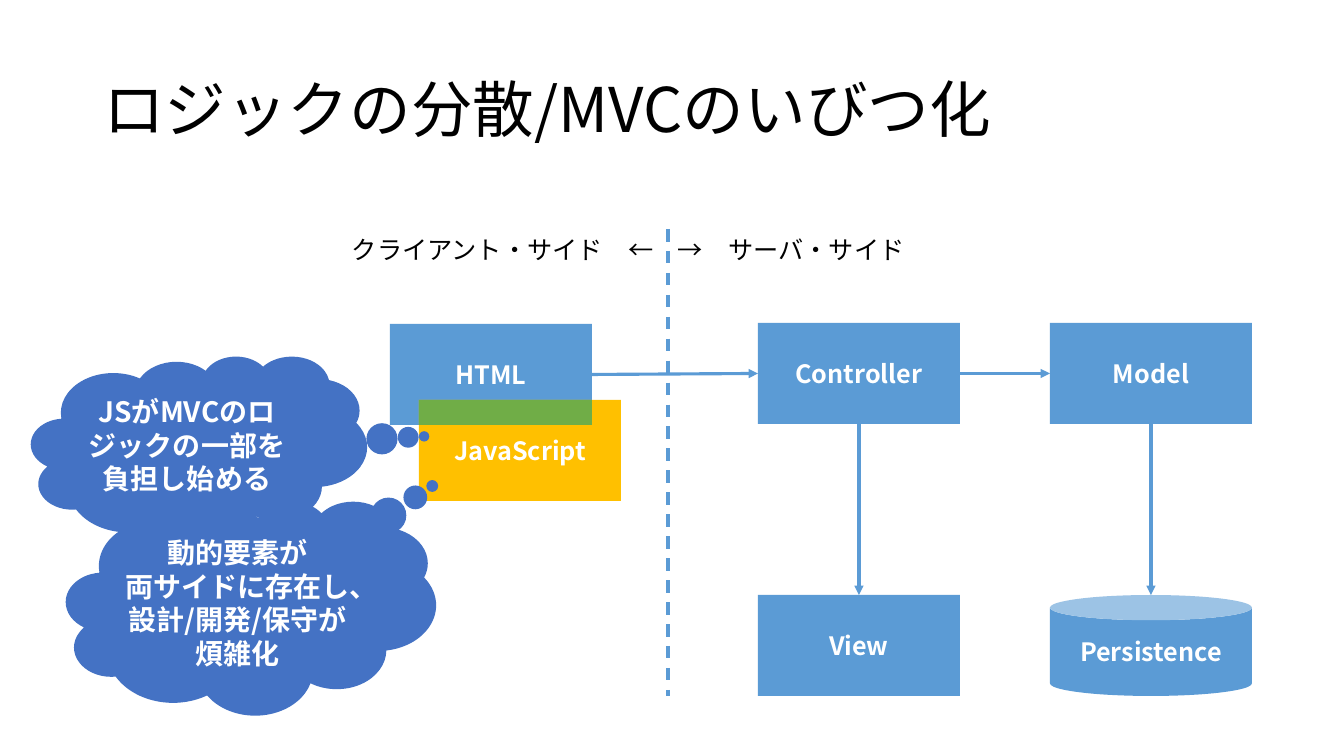
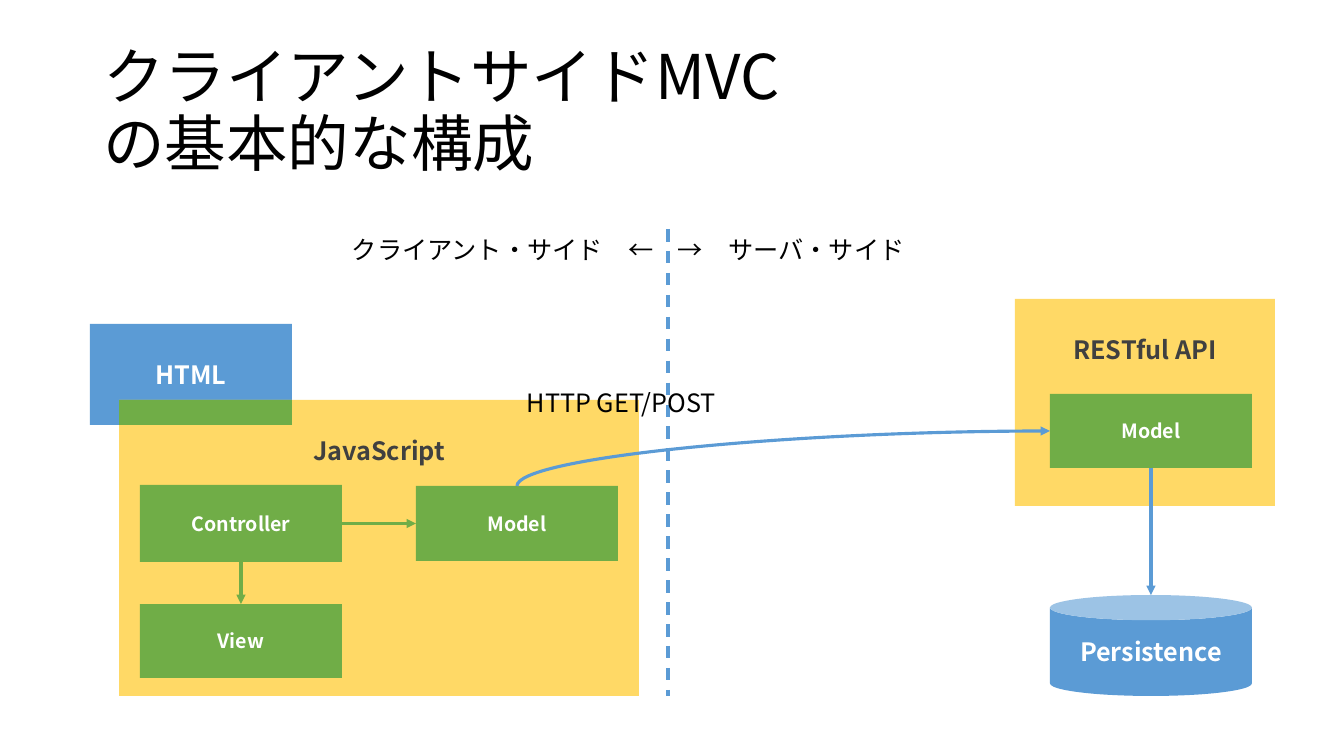
from lxml import etree
from pptx import Presentation
from pptx.dml.color import RGBColor
from pptx.enum.dml import MSO_LINE
from pptx.enum.shapes import MSO_CONNECTOR, MSO_SHAPE
from pptx.enum.text import MSO_ANCHOR, MSO_AUTO_SIZE, PP_ALIGN
from pptx.oxml.ns import qn
from pptx.util import Emu, Pt

RECT, CAN, CLOUD = MSO_SHAPE.RECTANGLE, MSO_SHAPE.CAN, MSO_SHAPE.CLOUD_CALLOUT
STRAIGHT, CURVE = MSO_CONNECTOR.STRAIGHT, MSO_CONNECTOR.CURVE
TOP, MIDDLE = MSO_ANCHOR.TOP, MSO_ANCHOR.MIDDLE
LEFT, CENTER = PP_ALIGN.LEFT, PP_ALIGN.CENTER
DASH, NO_FIT = MSO_LINE.DASH, MSO_AUTO_SIZE.NONE
AT_TOP, AT_LEFT, AT_BOTTOM, AT_RIGHT = range(4)  # connection sites of a rectangle

FONT = "Noto Sans CJK JP"
BLUE, GREEN, AMBER, YELLOW, INDIGO = "5B9BD5", "70AD47", "FFC000", "FFD966", "4472C4"
WHITE, BLACK, GRAY = "FFFFFF", "000000", "404040"
EMU_PER_PX = 12192000 / 1344
hex_color = RGBColor.from_string


def px(*lengths):
    return [Emu(round(length * EMU_PER_PX)) for length in lengths]


def write(shape, text, size, color, bold=False, align=LEFT, spacing=None, **frame_format):
    frame = shape.text_frame
    frame.text = text
    for name, value in frame_format.items():
        setattr(frame, name, value)
    for paragraph in frame.paragraphs:
        paragraph.alignment = align
        paragraph.line_spacing = spacing
        for run in paragraph.runs:
            for name, value in {"name": FONT, "size": Pt(size), "bold": bold}.items():
                setattr(run.font, name, value)
            run.font.color.rgb = hex_color(color)
            etree.SubElement(run.font._element, qn("a:ea"), typeface=FONT)


# Shared furniture
TITLE_AT = (93, 40, 1159, 146)
DIVIDER = (668, 229, 668, 696)
SIDE_LABELS = [
    ("→\u3000サーバ・サイド", (668, 229, 249, 40)),
    ("クライアント・サイド\u3000←", (342, 229, 326, 40)),
]
PERSISTENCE = ("persistence", CAN, (1050, 595, 202, 101), BLUE, "Persistence", 18)

# Boxes: key, preset, place, fill, text, size
# Links: from, side, to, side, colour, connector, arrow end
slides = [
    {
        "title": "ロジックの分散/MVCのいびつ化",
        "labels": [],
        "boxes": [
            ("html", RECT, (390, 324, 202, 101), BLUE, "HTML", 18),
            ("script", RECT, (419, 400, 202, 101), AMBER, "JavaScript", 18),
            ("overlap", RECT, (419, 400, 173, 25), GREEN, "", 18),
            ("controller", RECT, (758, 323, 202, 101), BLUE, "Controller", 18),
            ("model", RECT, (1050, 323, 202, 101), BLUE, "Model", 18),
            ("view", RECT, (758, 595, 202, 101), BLUE, "View", 18),
            PERSISTENCE,
        ],
        "links": [
            ("html", AT_RIGHT, "controller", AT_LEFT, BLUE, STRAIGHT, "tailEnd"),
            ("controller", AT_RIGHT, "model", AT_LEFT, BLUE, STRAIGHT, "tailEnd"),
            ("controller", AT_BOTTOM, "view", AT_TOP, BLUE, STRAIGHT, "tailEnd"),
            ("model", AT_BOTTOM, "persistence", AT_TOP, BLUE, STRAIGHT, "tailEnd"),
        ],
        "clouds": [
            ("JSがMVCのロジックの一部を負担し始める", (31, 356, 336, 187), (0.67, -0.07)),
            ("動的要素が\v両サイドに存在し、設計/開発/保守が煩雑化",
             (66, 501, 370, 214), (0.49, -0.57)),
        ],
    },
    {
        "title": "クライアントサイドMVC\vの基本的な構成",
        "labels": [("HTTP GET/POST", (517, 382, 226, 40))],
        "boxes": [
            ("api", RECT, (1015, 299, 260, 207), YELLOW, "\vRESTful API", 18),
            ("api model", RECT, (1050, 394, 202, 74), GREEN, "Model", 14),
            ("html", RECT, (90, 324, 202, 101), BLUE, "HTML", 18),
            ("script", RECT, (119, 400, 520, 296), YELLOW, "\vJavaScript", 18),
            ("overlap", RECT, (119, 400, 173, 25), GREEN, "", 18),
            ("model", RECT, (416, 486, 202, 75), GREEN, "Model", 14),
            ("controller", RECT, (140, 485, 202, 77), GREEN, "Controller", 14),
            ("view", RECT, (140, 604, 202, 74), GREEN, "View", 14),
            PERSISTENCE,
        ],
        "links": [
            ("controller", AT_RIGHT, "model", AT_LEFT, GREEN, STRAIGHT, "tailEnd"),
            ("controller", AT_BOTTOM, "view", AT_TOP, GREEN, STRAIGHT, "tailEnd"),
            ("api model", AT_BOTTOM, "persistence", AT_TOP, BLUE, STRAIGHT, "tailEnd"),
            ("api model", AT_LEFT, "model", AT_TOP, BLUE, CURVE, "headEnd"),
        ],
        "clouds": [],
    },
]

deck = Presentation()
deck.slide_width, deck.slide_height = px(1344, 756)

for content in slides:
    slide = deck.slides.add_slide(deck.slide_layouts[5])
    shapes = slide.shapes

    # Title
    title = shapes.title
    title.left, title.top, title.width, title.height = px(*TITLE_AT)
    write(title, content["title"], 44, BLACK, spacing=0.9,
          vertical_anchor=MIDDLE, auto_size=NO_FIT, word_wrap=True)

    # Boxes: yellow ones are containers with a dark heading at the top
    boxes = {}
    for key, preset, place, fill, text, size in content["boxes"]:
        box = boxes[key] = shapes.add_shape(preset, *px(*place))
        box.shadow.inherit = False
        box.fill.solid()
        box.fill.fore_color.rgb = hex_color(fill)
        box.line.fill.background()
        container = fill == YELLOW
        write(box, text, size, GRAY if container else WHITE, True, CENTER,
              vertical_anchor=TOP if container else MIDDLE, word_wrap=True)

    # Divider between client and server
    divider = shapes.add_connector(STRAIGHT, *px(*DIVIDER))
    divider.line.dash_style = DASH
    lines = [(divider, BLUE)]

    # Arrows between the boxes
    for source, source_side, target, target_side, color, kind, arrow_end in content["links"]:
        end = boxes[target]
        arrow = shapes.add_connector(kind, 0, 0, end.left + end.width // 2, end.top)
        arrow.begin_connect(boxes[source], source_side)
        if end.auto_shape_type == RECT:
            arrow.end_connect(end, target_side)
        if kind == CURVE:
            arrow._element.spPr.find(qn("a:prstGeom")).set("prst", "curvedConnector2")
        etree.SubElement(arrow.line._get_or_add_ln(), qn("a:" + arrow_end), type="triangle")
        lines.append((arrow, color))

    for connector, color in lines:
        connector.line.color.rgb = hex_color(color)
        connector.line.width = Pt(2.25)
        etree.SubElement(connector._element.spPr, qn("a:effectLst"))

    # Labels
    for text, place in SIDE_LABELS + content["labels"]:
        label = shapes.add_textbox(*px(*place))
        write(label, text, 18, BLACK, word_wrap=False)

    # Thought clouds
    for text, place, pointer in content["clouds"]:
        cloud = shapes.add_shape(CLOUD, *px(*place))
        cloud.shadow.inherit = False
        cloud.fill.solid()
        cloud.fill.fore_color.rgb = hex_color(INDIGO)
        cloud.line.fill.background()
        cloud.adjustments[0], cloud.adjustments[1] = pointer
        write(cloud, text, 20, WHITE, True, CENTER, vertical_anchor=MIDDLE, word_wrap=True,
              margin_left=0, margin_top=0, margin_right=0, margin_bottom=0)

deck.save("out.pptx")
